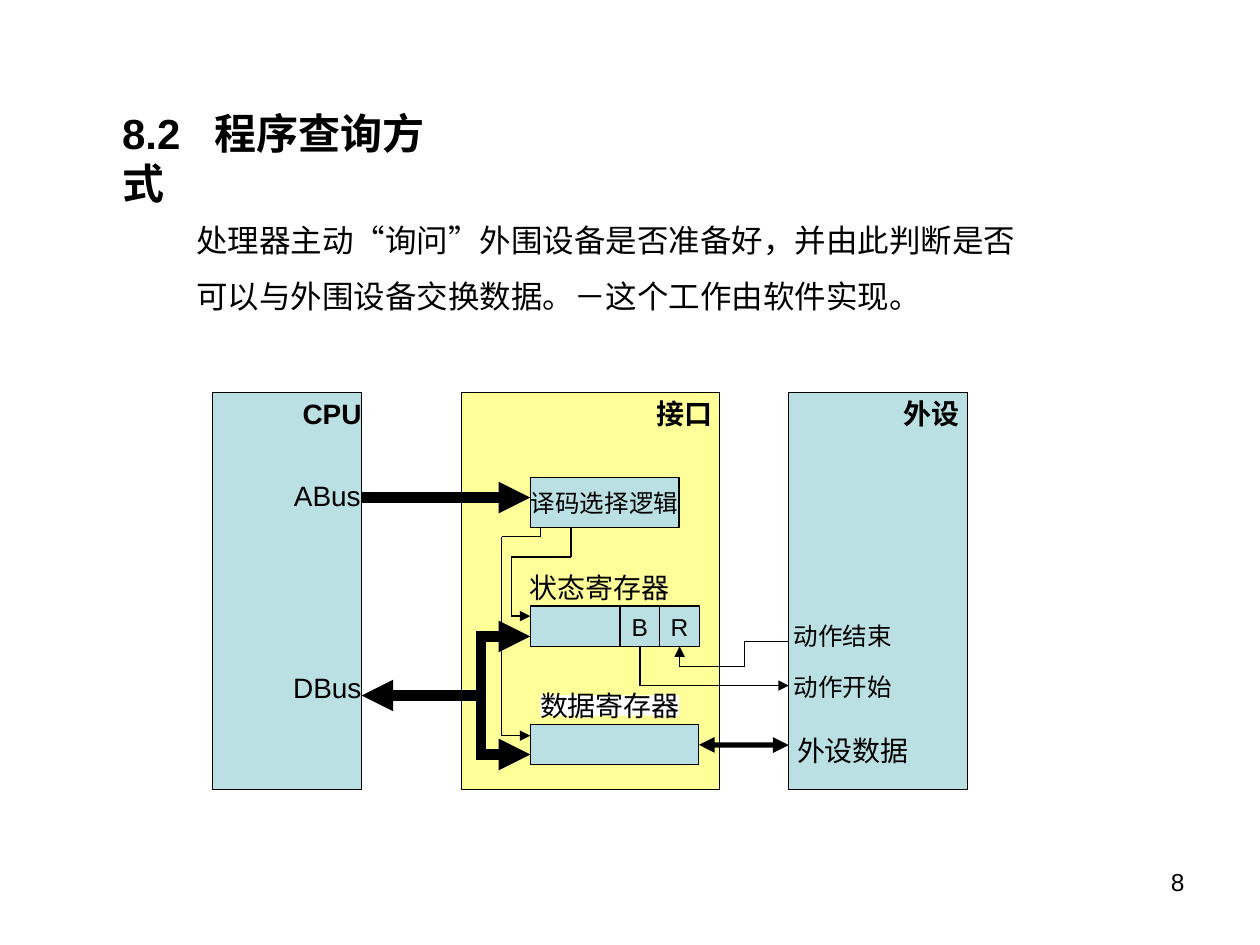
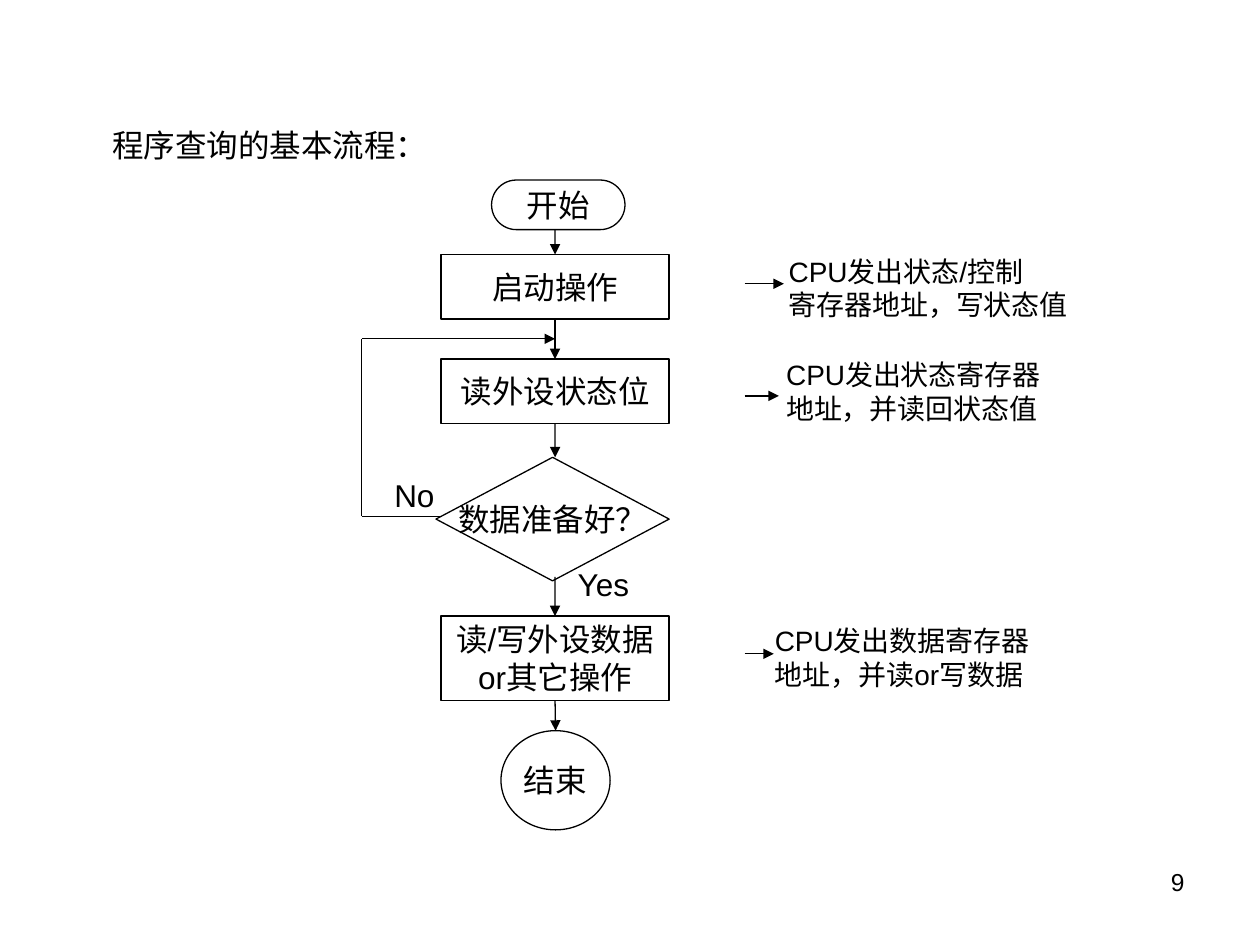
"""Build two slides on polled input/output: the interface diagram and the polling flow chart."""
import dataclasses

import lxml.etree
import pptx
import pptx.dml.color
import pptx.enum.lang
import pptx.enum.shapes
import pptx.enum.text
import pptx.oxml.ns
import pptx.util

Cm = pptx.util.Cm
Pt = pptx.util.Pt
Kind = pptx.enum.shapes.MSO_SHAPE
Align = pptx.enum.text.PP_ALIGN
Anchor = pptx.enum.text.MSO_ANCHOR
AutoSize = pptx.enum.text.MSO_AUTO_SIZE
TOP, LEFT, BOTTOM, RIGHT = range(4)


@dataclasses.dataclass(frozen=True)
class Theme:
    font: str = "Arial"
    ink: str = "000000"
    device: str = "BBE0E3"
    interface: str = "FFFF99"
    paper: str = "FFFFFF"
    heading: int = 24
    body: int = 18
    label: int = 16
    small: int = 14
    hairline: float = 0.75
    data_line: float = 3
    bus_line: float = 6


theme = Theme()
ink = pptx.dml.color.RGBColor.from_string(theme.ink)


def put(page, kind, place, text="", size=theme.label, bold=False, align=Align.CENTER,
        anchor=Anchor.MIDDLE, fill=None, outline=True, wrap=False, grow=False,
        margins=(0.25, 0.13), spacing=1.0, tab=None):
    """Place a title, a text box (kind None) or a preset shape, and write its text."""
    left, top, width, height = map(Cm, place)
    if kind == "title":
        box = page.shapes.title
        for name, value in dict(left=left, top=top, width=width, height=height).items():
            setattr(box, name, value)
    elif kind is None:
        box = page.shapes.add_textbox(left, top, width, height)
    else:
        box = page.shapes.add_shape(kind, left, top, width, height)
        box.shadow.inherit = False
        if fill:
            box.fill.solid()
            box.fill.fore_color.rgb = pptx.dml.color.RGBColor.from_string(fill)
        else:
            box.fill.background()
        if outline:
            box.line.color.rgb = ink
            box.line.width = Pt(theme.hairline)
        else:
            box.line.fill.background()
    if not text:
        return box

    across, down = map(Cm, margins)
    frame_format = dict(
        word_wrap=wrap, vertical_anchor=anchor,
        auto_size=AutoSize.SHAPE_TO_FIT_TEXT if grow else AutoSize.NONE,
        margin_left=across, margin_right=across, margin_top=down, margin_bottom=down)
    for name, value in frame_format.items():
        setattr(box.text_frame, name, value)
    font_format = dict(name=theme.font, size=Pt(size), bold=bold,
                       language_id=pptx.enum.lang.MSO_LANGUAGE_ID.SIMPLIFIED_CHINESE)
    for number, line in enumerate(text.split("\n")):
        para = box.text_frame.add_paragraph() if number else box.text_frame.paragraphs[0]
        para.alignment = align
        para.line_spacing = spacing
        if tab:
            tabs = lxml.etree.SubElement(para._p.get_or_add_pPr(), pptx.oxml.ns.qn("a:tabLst"))
            lxml.etree.SubElement(tabs, pptx.oxml.ns.qn("a:tab"), pos=str(Cm(tab)), algn="l")
        span = para.add_run()
        span.text = line
        span.font.color.rgb = ink
        for name, value in font_format.items():
            setattr(span.font, name, value)
    return box


def route(page, points, width=theme.hairline, heads=("tailEnd",)):
    """Draw straight connectors through the points, with arrowheads on the last one."""
    lines = []
    for start, end in zip(points, points[1:]):
        line = page.shapes.add_connector(
            pptx.enum.shapes.MSO_CONNECTOR.STRAIGHT, *map(Cm, start + end))
        line.line.color.rgb = ink
        line.line.width = Pt(width)
        lxml.etree.SubElement(line._element.spPr, pptx.oxml.ns.qn("a:effectLst"))
        lines.append(line)
    for head in heads:
        outline = lines[-1].line._get_or_add_ln()
        lxml.etree.SubElement(outline, pptx.oxml.ns.qn("a:" + head), type="triangle")
    return lines


deck = pptx.Presentation()
deck.slide_width, deck.slide_height = Cm(25.4), Cm(19.05)
title_only = deck.slide_layouts[5]
text_block = dict(align=Align.LEFT, anchor=Anchor.TOP, grow=True)
pages = []
for number, place, title, title_format in [
    (8, (2.21, 2.03, 7.44, 1.27), "8.2\t程序查询方式", dict(size=theme.heading, bold=True, tab=1.86)),
    (9, (2.01, 2.41, 6.86, 1.02), "程序查询的基本流程：", dict(size=theme.body)),
]:
    page = deck.slides.add_slide(title_only)
    put(page, "title", place, title, **text_block, **title_format)
    put(page, None, (18.21, 17.35, 5.92, 1.32), str(number), theme.small,
        align=Align.RIGHT, anchor=Anchor.TOP, wrap=True)
    pages.append(page)
diagram, flow = pages

put(diagram, None, (3.71, 3.94, 17.02, 2.54),
    "处理器主动“询问”外围设备是否准备好，并由此判断是否\n"
    "可以与外围设备交换数据。－这个工作由软件实现。",
    theme.body, spacing=1.5, **text_block)

for name, left, width, name_left, fill in [
    ("CPU", 4.29, 3, 6.3, theme.device),
    ("接口", 9.3, 5.21, 13.41, theme.interface),
    ("外设", 15.9, 3.61, 18.39, theme.device),
]:
    put(diagram, Kind.RECTANGLE, (left, 7.92, width, 8), fill=fill)
    put(diagram, None, (name_left, 8.13, 0.79, 0.41), name, bold=True)

decoder, status, busy_flag, ready_flag, data_register = [
    put(diagram, Kind.RECTANGLE, place, text, theme.small, fill=theme.device)
    for place, text in [
        ((10.69, 9.63, 3, 1), "译码选择逻辑"),
        ((10.69, 12.22, 1.8, 0.81), ""),
        ((12.5, 12.22, 0.8, 0.81), "B"),
        ((13.3, 12.22, 0.8, 0.81), "R"),
        ((10.69, 14.61, 3.4, 0.81), ""),
    ]
]
put(diagram, Kind.RECTANGLE, (10.9, 14.02, 2.79, 0.41), "数据寄存器",
    fill=theme.paper, outline=False)
for place, text, size in [
    ((10.69, 11.63, 2.79, 0.41), "状态寄存器", theme.label),
    ((6.1, 9.73, 1, 0.51), "ABus", theme.label),
    ((6.1, 13.61, 1, 0.51), "DBus", theme.label),
    ((15.8, 12.42, 2.39, 0.81), "动作结束", theme.small),
    ((15.8, 13.44, 2.39, 0.81), "动作开始", theme.small),
    ((16, 14.73, 2.39, 0.81), "外设数据", theme.label),
]:
    put(diagram, None, place, text, size)

for points, heads in [
    ([(7.29, 10.03), (10.69, 10.03)], ["tailEnd"]),
    ([(7.29, 14.02), (9.7, 14.02)], ["headEnd"]),
    ([(9.7, 12.83), (10.69, 12.83)], ["tailEnd"]),
    ([(9.7, 15.21), (10.69, 15.21)], ["tailEnd"]),
    ([(9.7, 12.73), (9.7, 15.32)], []),
]:
    route(diagram, points, theme.bus_line, heads)
route(diagram, [(10.9, 10.63), (10.9, 10.82), (10.11, 10.82), (10.11, 14.83), (10.69, 14.83)])
route(diagram, [(11.51, 10.63), (11.51, 11.23), (10.31, 11.23), (10.31, 12.42), (10.69, 12.42)])
finished = route(diagram, [(15.9, 12.93), (15.01, 12.93), (15.01, 13.44), (13.7, 13.44), (13.7, 13.03)])
finished[-1].end_connect(ready_flag, BOTTOM)
started = route(diagram, [(12.9, 13.03), (12.9, 13.82), (15.9, 13.82)])
started[0].begin_connect(busy_flag, BOTTOM)
exchange = route(diagram, [(14.09, 15.02), (15.9, 15.02)], theme.data_line, ["headEnd", "tailEnd"])
exchange[0].begin_connect(data_register, RIGHT)

start, launch, read_status, ready_test, transfer, finish = [
    put(flow, kind, place, text, theme.body)
    for kind, place, text in [
        (Kind.ROUNDED_RECTANGLE, (9.91, 3.63, 2.69, 1), "开始"),
        (Kind.RECTANGLE, (8.89, 5.13, 4.6, 1.3), "启动操作"),
        (Kind.RECTANGLE, (8.89, 7.24, 4.6, 1.3), "读外设状态位"),
        (Kind.DIAMOND, (8.79, 9.22, 4.7, 2.49), "数据准备好？"),
        (Kind.RECTANGLE, (8.89, 12.42, 4.6, 1.7), "读/写外设数据\nor其它操作"),
        (Kind.OVAL, (10.1, 14.73, 2.2, 2), "结束"),
    ]
]
start.adjustments[0] = 0.5

axis = 11.19
for top, bottom, source, target in [
    (4.63, 5.13, None, launch),
    (6.43, 7.24, launch, read_status),
    (8.54, 9.22, read_status, None),
    (11.63, 12.42, None, transfer),
    (14.12, 14.73, transfer, finish),
]:
    arrow = route(flow, [(axis, top), (axis, bottom)])[0]
    if source:
        arrow.begin_connect(source, BOTTOM)
    if target:
        arrow.end_connect(target, TOP)
route(flow, [(8.89, 10.41), (7.29, 10.41), (7.29, 6.83), (axis, 6.83)])

for left, top, answer in [(11.81, 11.63, "Yes"), (8, 9.83, "No")]:
    put(flow, None, (left, top, 0.71, 0.3), answer, theme.body)

for left, top, width, arrow_y, arrow_end, note in [
    (15.9, 5.13, 5.64, 5.72, 15.8, "CPU发出状态/控制\n寄存器地址，写状态值"),
    (15.85, 7.21, 5.26, 7.98, 15.7, "CPU发出状态寄存器\n地址，并读回状态值"),
    (15.62, 12.57, 5.28, 13.18, 15.6, "CPU发出数据寄存器\n地址，并读or写数据"),
]:
    put(flow, None, (left, top, width, 1.35), note, margins=(0, 0), **text_block)
    route(flow, [(15.01, arrow_y), (arrow_end, arrow_y)])

deck.save("out.pptx")
